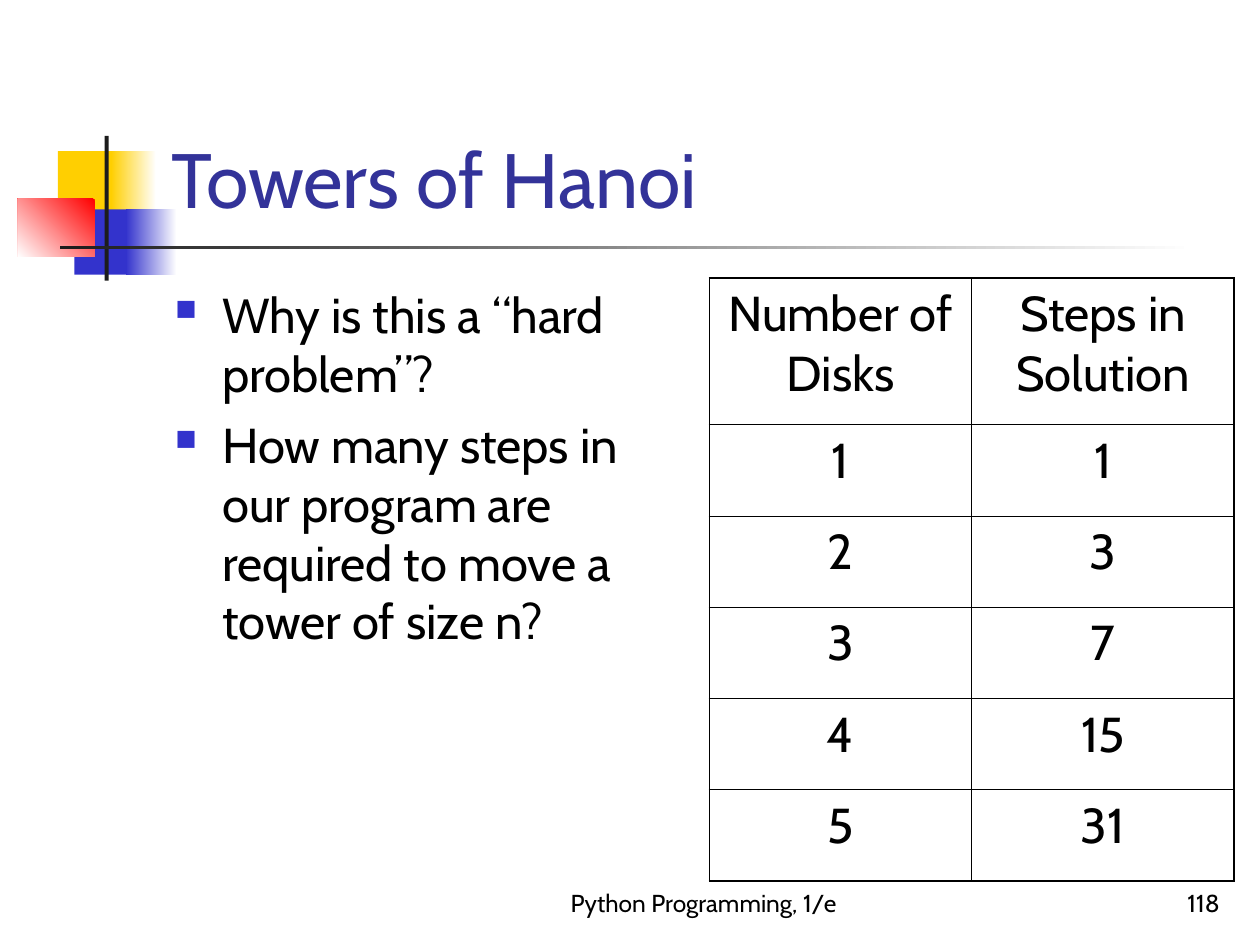
from lxml.etree import SubElement
from pptx import Presentation
from pptx.dml.color import RGBColor
from pptx.enum.shapes import MSO_SHAPE as SHAPE
from pptx.enum.text import MSO_ANCHOR as ANCHOR, PP_ALIGN as ALIGN
from pptx.oxml.ns import qn
from pptx.util import Cm, Pt

FONT = "Cabin"
BLACK, WHITE, CHARCOAL = "000000", "FFFFFF", "1C1C1C"
YELLOW, BLUE, RED, TITLE_BLUE = "FFCF01", "3333CC", "FF0000", "333399"

TITLE = "Towers of Hanoi"
QUESTIONS = [
    "Why is this a “hard problem”?",
    "How many steps in our program are required to move a tower of size n?",
]
STEPS = [
    ("Number of Disks", "Steps in Solution"),
    ("1", "1"),
    ("2", "3"),
    ("3", "7"),
    ("4", "15"),
    ("5", "31"),
]
FOOTER, PAGE = "Python Programming, 1/e", "118"

# left, top, width, height in cm; colours; gradient angle (counter-clockwise)
ORNAMENT = [
    ((1.17, 3.05, 1.22, 1.32), [YELLOW], None),
    ((2.24, 3.05, 0.91, 1.32), [WHITE, YELLOW], 180),
    ((1.5, 4.22, 1.17, 1.32), [BLUE], None),
    ((2.54, 4.22, 1.02, 1.32), [WHITE, BLUE], 180),
    ((0.36, 4.01, 1.55, 1.17), [RED, WHITE], 225),
    ((2.11, 2.74, 0.08, 2.92), [CHARCOAL], None),
    ((1.22, 4.95, 22.86, 0.08), [WHITE, CHARCOAL], 180),
]
TABLE_LEFT, TABLE_TOP, COLUMN_WIDTH = 14.3, 5.61, 5.29
HEADER_HEIGHT, ROW_HEIGHT = 2.95, 1.84
OUTER_LINE, INNER_LINE = Pt(1.08), Pt(0.45)


def rgb(code):
    return RGBColor.from_string(code)


def add_block(slide, box, colours, angle):
    block = slide.shapes.add_shape(SHAPE.RECTANGLE, *map(Cm, box))
    block.shadow.inherit = False
    block.line.fill.background()
    if angle is None:
        block.fill.solid()
        block.fill.fore_color.rgb = rgb(colours[0])
        return
    block.fill.gradient()
    block.fill.gradient_angle = angle
    for stop, colour in zip(block.fill.gradient_stops, colours):
        stop.color.rgb = rgb(colour)


def add_bullet(paragraph):
    props = paragraph._p.get_or_add_pPr()
    props.set("marL", str(Cm(0.95)))
    props.set("indent", str(Cm(-0.95)))
    colour = SubElement(props, qn("a:buClr"))
    SubElement(colour, qn("a:srgbClr"), val=BLUE)
    SubElement(props, qn("a:buSzPct"), val="60000")
    SubElement(props, qn("a:buChar"), char="■")


def write(paragraph, text, size, colour=BLACK, align=ALIGN.LEFT):
    paragraph.alignment = align
    run = paragraph.add_run()
    run.text = text
    run.font.name = FONT
    run.font.size = Pt(size)
    run.font.color.rgb = rgb(colour)


def add_frame(slide, box, anchor=ANCHOR.BOTTOM):
    frame = slide.shapes.add_textbox(*map(Cm, box)).text_frame
    frame.word_wrap = True
    frame.vertical_anchor = anchor
    return frame


def add_borders(cell, widths):
    """Draw the cell's left, right, top and bottom lines, in that order."""
    props = cell._tc.get_or_add_tcPr()
    for place, (side, width) in enumerate(zip("LRTB", widths)):
        line = SubElement(props, qn(f"a:ln{side}"), w=str(width))
        fill = SubElement(line, qn("a:solidFill"))
        SubElement(fill, qn("a:srgbClr"), val=BLACK)
        props.insert(place, line)


def add_steps_table(slide):
    rows, columns = len(STEPS), len(STEPS[0])
    heights = [HEADER_HEIGHT] + [ROW_HEIGHT] * (rows - 1)
    table = slide.shapes.add_table(
        rows, columns, Cm(TABLE_LEFT), Cm(TABLE_TOP),
        Cm(COLUMN_WIDTH * columns), Cm(sum(heights))).table
    table.first_row = table.horz_banding = False
    for column in table.columns:
        column.width = Cm(COLUMN_WIDTH)
    for r, (values, height) in enumerate(zip(STEPS, heights)):
        table.rows[r].height = Cm(height)
        for c, value in enumerate(values):
            cell = table.cell(r, c)
            cell.fill.background()
            write(cell.text_frame.paragraphs[0], value, 28, align=ALIGN.CENTER)
            at_edge = (c == 0, c == columns - 1, r == 0, r == rows - 1)
            add_borders(cell, [OUTER_LINE if edge else INNER_LINE for edge in at_edge])


def main():
    deck = Presentation()
    deck.slide_width, deck.slide_height = Cm(25.4), Cm(19.05)
    slide = deck.slides.add_slide(deck.slide_layouts[6])

    for box, colours, angle in ORNAMENT:
        add_block(slide, box, colours, angle)

    title = add_frame(slide, (3.2, 0.58, 21.64, 4.06))
    write(title.paragraphs[0], TITLE, 44, TITLE_BLUE)

    body = add_frame(slide, (3.28, 5.61, 10.59, 11.43), ANCHOR.TOP)
    for i, question in enumerate(QUESTIONS):
        paragraph = body.add_paragraph() if i else body.paragraphs[0]
        add_bullet(paragraph)
        if i:
            paragraph.space_before = Pt(7)
        write(paragraph, question, 28)

    add_steps_table(slide)

    footer = add_frame(slide, (10.16, 17.35, 8.05, 1.27))
    write(footer.paragraphs[0], FOOTER, 14, align=ALIGN.CENTER)
    page = add_frame(slide, (19.56, 17.35, 5.28, 1.27))
    write(page.paragraphs[0], PAGE, 14, align=ALIGN.RIGHT)

    deck.save("out.pptx")


if __name__ == "__main__":
    main()
